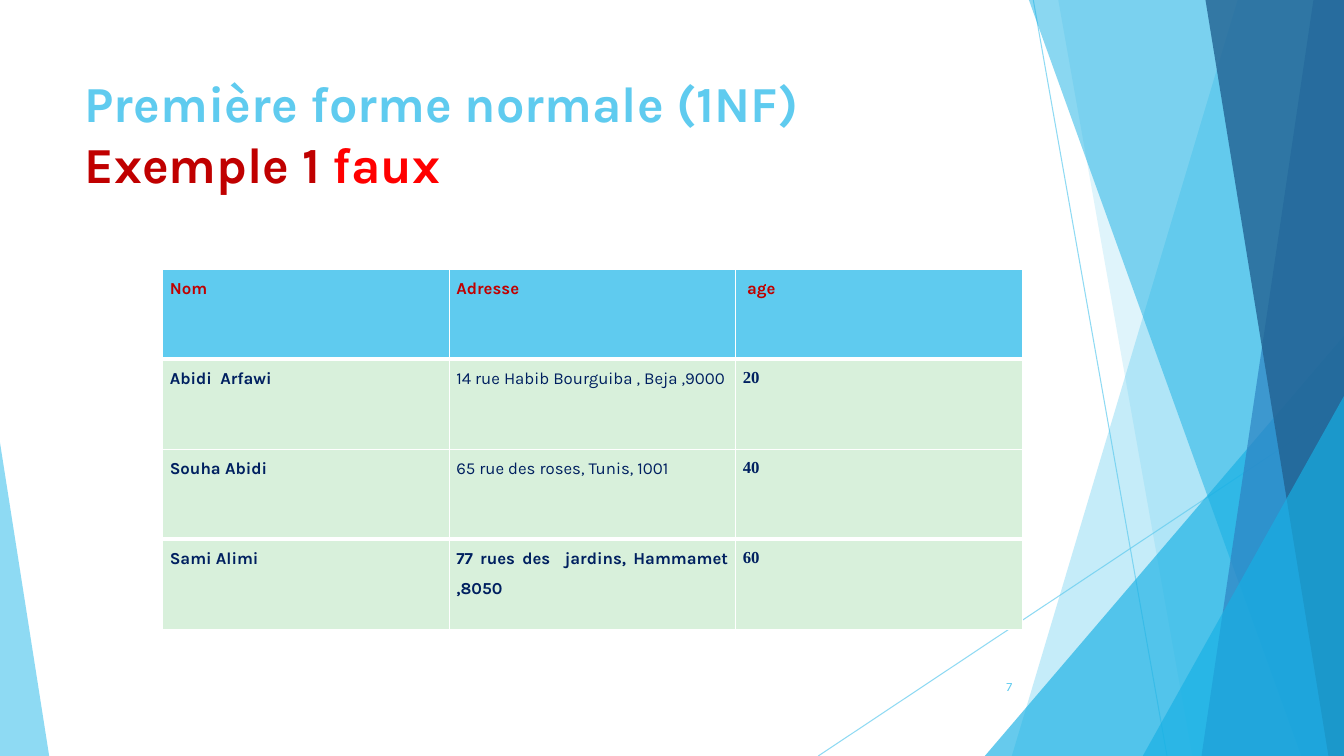
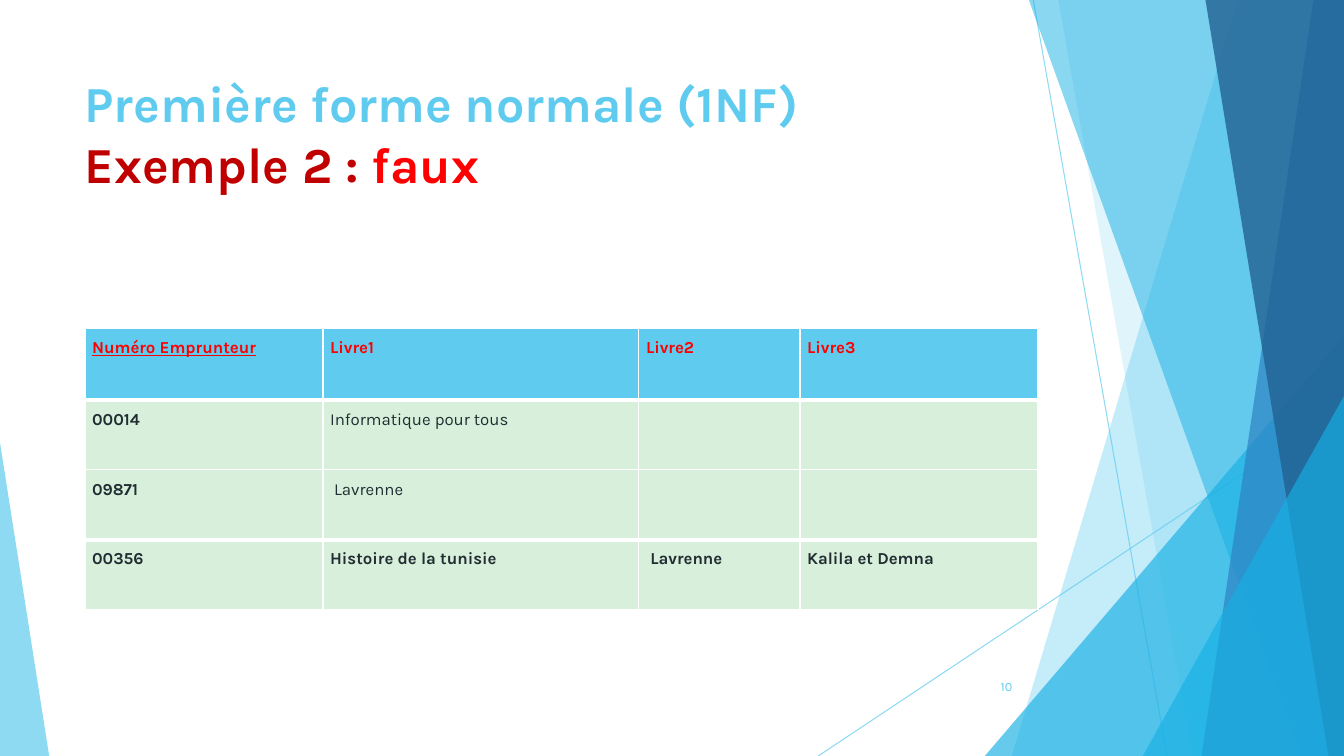
"""Build two slides on the first normal form, each with a table that breaks it."""
from dataclasses import dataclass

from lxml.etree import SubElement
from pptx import Presentation
from pptx.dml.color import RGBColor
from pptx.enum.shapes import MSO_CONNECTOR, MSO_SHAPE, PP_PLACEHOLDER
from pptx.enum.text import MSO_ANCHOR, MSO_AUTO_SIZE, PP_ALIGN
from pptx.oxml.ns import qn
from pptx.slide import Slide, SlideLayout
from pptx.table import _Cell
from pptx.util import Cm, Pt

WIDTH, HEIGHT = 33.87, 19.05
FONT, FIGURE_FONT = "Karla", "Times New Roman"
COLORS = {
    "sky": "5FCBEF",
    "cyan": "17B0E4",
    "blue": "2E83C3",
    "navy": "226292",
    "ink": "002060",
    "slate": "212D32",
    "dark_red": "C00000",
    "red": "FF0000",
    "mint": "D8F0DB",
    "white": "FFFFFF",
}


@dataclass(frozen=True)
class Ray:
    """Thin line from one point to another, in centimetres."""
    start: tuple[float, float]
    end: tuple[float, float]


@dataclass(frozen=True)
class Band:
    """Full-height area between a slanted left edge and the right of the slide."""
    color: str
    opacity: int
    top_x: float
    bottom_x: float


@dataclass(frozen=True)
class Wedge:
    """Triangle standing on the bottom of the slide."""
    color: str
    opacity: int
    left: float
    top: float
    width: float
    apex: float


@dataclass(frozen=True)
class Example:
    """Title, number and table of one slide."""
    label: str
    number: str
    left: float
    top: float
    columns: tuple[float, ...]
    row_heights: tuple[float, ...]
    header_color: str
    body_color: str
    rows: tuple[tuple[str, ...], ...]
    key_column: int | None = None
    figure_column: int | None = None


BACKDROP = (
    Ray((26.04, 0), (29.41, HEIGHT)),
    Ray((WIDTH, 10.24), (20.62, HEIGHT)),
    Band("sky", 36, 31.19, 25.5),
    Band("sky", 20, 26.67, 30.05),
    Wedge("cyan", 66, 24.82, 8.46, 9.05, 1),
    Band("cyan", 50, 25.93, 32.79),
    Band("blue", 70, 33.1, 30.28),
    Band("navy", 80, 30.38, 33.48),
    Wedge("cyan", 66, 28.8, 9.98, 5.07, 1),
    Wedge("sky", 70, 0, 11.15, 1.24, 0),
)

EXAMPLES = (
    Example(
        "Exemple 1 ", "7", 4.1, 6.78, (7.22,) * 3, (2.27,) * 4, "dark_red", "ink",
        (
            ("Nom", "Adresse", " age"),
            ("Abidi  Arfawi", "14 rue Habib Bourguiba , Beja ,9000", "20"),
            ("Souha Abidi", "65 rue des roses, Tunis, 1001", "40"),
            ("Sami Alimi", "77 rues des  jardins, Hammamet ,8050", "60"),
        ),
        figure_column=2,
    ),
    Example(
        "Exemple 2 : ", "10", 2.14, 8.28, (6, 7.96, 4.06, 6), (1.8, 1.76, 1.76, 1.76),
        "red", "slate",
        (
            ("Numéro Emprunteur", "Livre1", "Livre2", "Livre3"),
            ("00014", "Informatique pour tous", "", ""),
            ("09871", " Lavrenne", "", ""),
            ("00356", "Histoire de la tunisie", " Lavrenne", "Kalila et Demna"),
        ),
        key_column=0,
    ),
)


def rgb(name: str) -> RGBColor:
    return RGBColor.from_string(COLORS[name])


def set_opacity(shape, percent: int) -> None:
    for color in shape.element.spPr.iter(qn("a:srgbClr")):
        SubElement(color, qn("a:alpha"), val=str(percent * 1000))


def paint(shape, color: str, opacity: int) -> None:
    shape.shadow.inherit = False
    shape.line.fill.background()
    shape.fill.solid()
    shape.fill.fore_color.rgb = rgb(color)
    set_opacity(shape, opacity)


def draw_ray(slide: Slide, ray: Ray) -> None:
    ends = (Cm(length) for length in ray.start + ray.end)
    line = slide.shapes.add_connector(MSO_CONNECTOR.STRAIGHT, *ends)
    line.line.color.rgb = rgb("sky")
    line.line.width = Pt(0.75)
    set_opacity(line, 70)
    SubElement(line.element.spPr, qn("a:effectLst"))


def draw_band(slide: Slide, band: Band) -> None:
    outline = slide.shapes.build_freeform(Cm(band.top_x), 0)
    corners = ((WIDTH, 0), (WIDTH, HEIGHT), (band.bottom_x, HEIGHT))
    outline.add_line_segments([(Cm(x), Cm(y)) for x, y in corners], close=True)
    paint(outline.convert_to_shape(), band.color, band.opacity)


def draw_wedge(slide: Slide, wedge: Wedge) -> None:
    triangle = slide.shapes.add_shape(
        MSO_SHAPE.ISOSCELES_TRIANGLE,
        Cm(wedge.left), Cm(wedge.top), Cm(wedge.width), Cm(HEIGHT - wedge.top),
    )
    triangle.adjustments[0] = wedge.apex
    paint(triangle, wedge.color, wedge.opacity)


def add_backdrop(slide: Slide, layout: SlideLayout) -> None:
    for placeholder in list(layout.placeholders):
        if placeholder.placeholder_format.type != PP_PLACEHOLDER.TITLE:
            layout.shapes.element.remove(placeholder.element)
    draw = {Ray: draw_ray, Band: draw_band, Wedge: draw_wedge}
    for part in BACKDROP:
        draw[type(part)](slide, part)
    for shape in list(slide.shapes):
        if not shape.is_placeholder:
            layout.shapes.element.append(shape.element)


def add_title(slide: Slide, label: str) -> None:
    title = slide.shapes.title
    title.left, title.top, title.width, title.height = Cm(1.88), Cm(1.7), Cm(23.88), Cm(3.66)
    frame = title.text_frame
    frame.auto_size = MSO_AUTO_SIZE.NONE
    frame.vertical_anchor = MSO_ANCHOR.TOP
    heading = frame.paragraphs[0]
    heading.alignment = PP_ALIGN.LEFT
    heading.font.name = FONT
    heading.font.size = Pt(36)
    heading.font.bold = True
    pieces = (("Première forme normale (1NF)", "sky"), (label, "dark_red"), ("faux", "red"))
    for index, (text, color) in enumerate(pieces):
        if index == 1:
            heading.add_line_break()
        run = heading.add_run()
        run.text = text
        run.font.color.rgb = rgb(color)


def add_number(slide: Slide, number: str) -> None:
    box = slide.shapes.add_textbox(Cm(23.85), Cm(16.79), Cm(1.91), Cm(1.02))
    box.text_frame.word_wrap = True
    box.text_frame.vertical_anchor = MSO_ANCHOR.MIDDLE
    line = box.text_frame.paragraphs[0]
    line.text = number
    line.alignment = PP_ALIGN.RIGHT
    line.font.name = FONT
    line.font.size = Pt(9)
    line.font.color.rgb = rgb("sky")


def set_borders(cell: _Cell, top: int, bottom: int) -> None:
    properties = cell._tc.get_or_add_tcPr()
    for side, points in (("L", 1), ("R", 1), ("T", top), ("B", bottom)):
        border = SubElement(properties, qn(f"a:ln{side}"), w=str(Pt(points)))
        fill = SubElement(border, qn("a:solidFill"))
        SubElement(fill, qn("a:srgbClr"), val=COLORS["white"])


def fill_cell(cell: _Cell, example: Example, row: int, column: int) -> None:
    last = len(example.rows) - 1
    is_header = row == 0
    set_borders(cell, 3 if row in (1, last) else 1, 3 if row in (0, last - 1) else 1)
    cell.fill.solid()
    cell.fill.fore_color.rgb = rgb("sky" if is_header else "mint")
    cell.margin_left = cell.margin_right = Cm(0.18)
    cell.margin_top = cell.margin_bottom = 0
    entry = cell.text_frame.paragraphs[0]
    entry.text = example.rows[row][column]
    entry.alignment = PP_ALIGN.JUSTIFY
    entry.line_spacing = 1.5
    is_figure = column == example.figure_column and not is_header
    entry.font.name = FIGURE_FONT if is_figure else FONT
    entry.font.size = Pt(12)
    entry.font.bold = column != 1 or row in (0, last)
    entry.font.underline = is_header and column == example.key_column
    entry.font.color.rgb = rgb(example.header_color if is_header else example.body_color)


def add_example_table(slide: Slide, example: Example) -> None:
    table = slide.shapes.add_table(
        len(example.rows), len(example.columns), Cm(example.left), Cm(example.top),
        Cm(sum(example.columns)), Cm(sum(example.row_heights)),
    ).table
    table.horz_banding = False
    for column, width in zip(table.columns, example.columns):
        column.width = Cm(width)
    for row, height in zip(table.rows, example.row_heights):
        row.height = Cm(height)
    for row in range(len(example.rows)):
        for column in range(len(example.columns)):
            fill_cell(table.cell(row, column), example, row, column)


def main() -> None:
    deck = Presentation()
    deck.slide_width, deck.slide_height = Cm(WIDTH), Cm(HEIGHT)
    layout = deck.slide_layouts[5]
    for index, example in enumerate(EXAMPLES):
        slide = deck.slides.add_slide(layout)
        if index == 0:
            add_backdrop(slide, layout)
        add_title(slide, example.label)
        add_example_table(slide, example)
        add_number(slide, example.number)
    deck.save("out.pptx")


if __name__ == "__main__":
    main()
